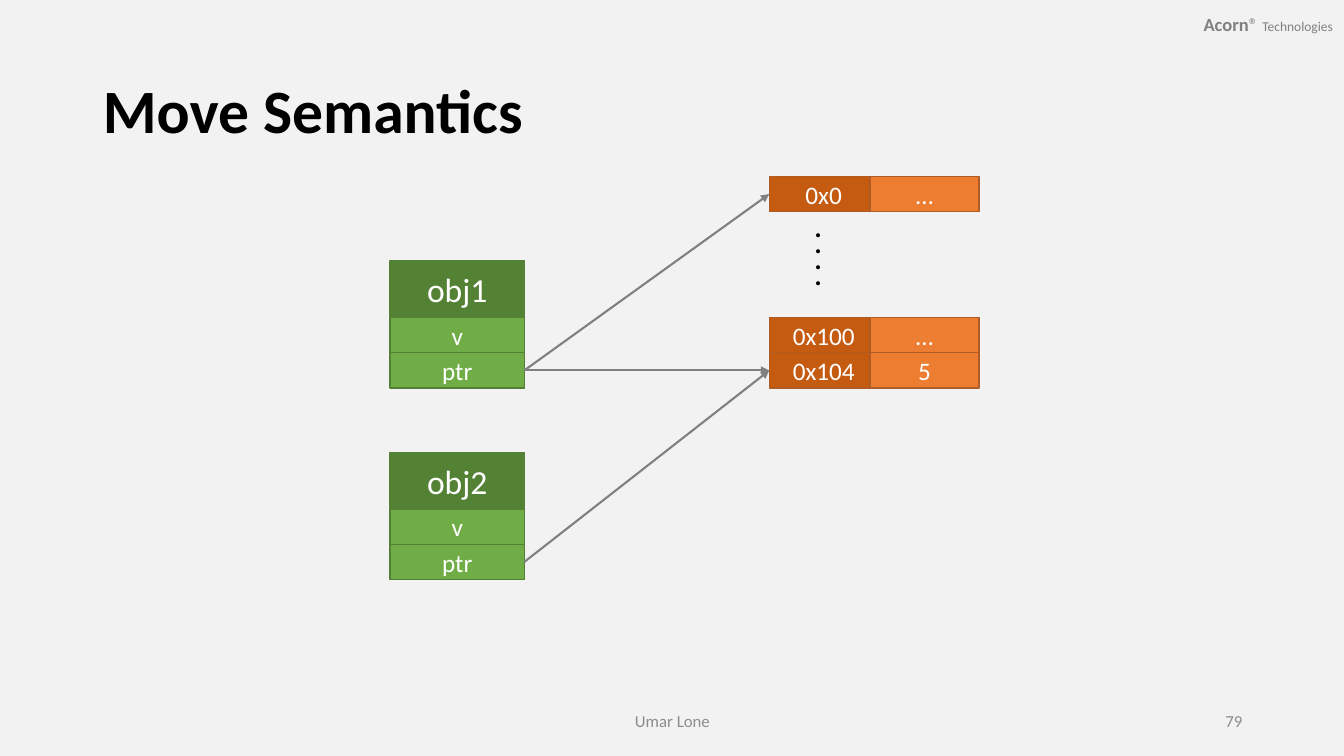
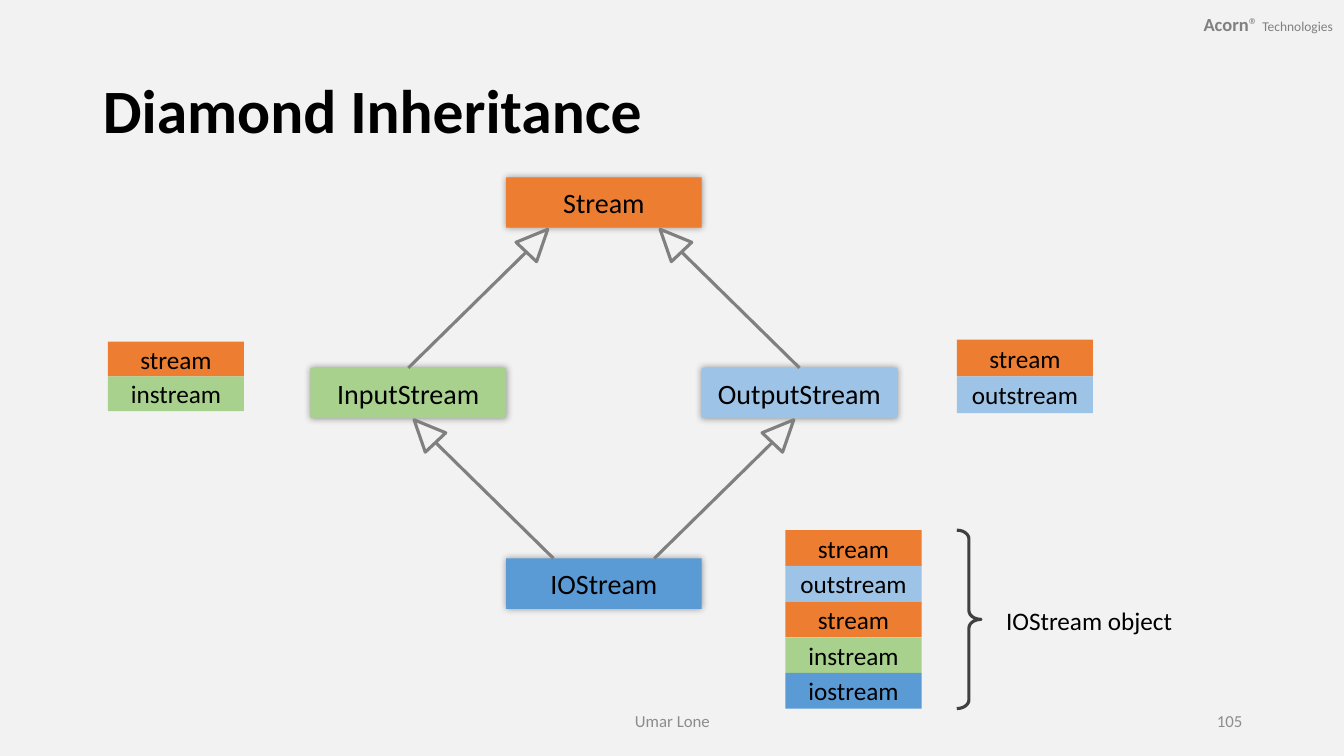
from math import cos, radians, sin

from pptx import Presentation
from pptx.dml.color import RGBColor
from pptx.enum import shapes, text
from pptx.oxml import parse_xml
from pptx.oxml.ns import nsdecls, qn
from pptx.util import Inches, Pt

FONT = "Calibri"
PAPER = RGBColor(0xF2, 0xF2, 0xF2)
BLACK = RGBColor(0, 0, 0)
WHITE = RGBColor(0xFF, 0xFF, 0xFF)
GRAY = RGBColor(0x80, 0x80, 0x80)
FOOTER_GRAY = RGBColor(0x8C, 0x8C, 0x8C)
CHARCOAL = RGBColor(0x40, 0x40, 0x40)
GREEN = RGBColor(0x70, 0xAD, 0x47)
DARK_GREEN = RGBColor(0x54, 0x82, 0x35)
GREEN_EDGE = RGBColor(0x53, 0x80, 0x35)
LIGHT_GREEN = RGBColor(0xA9, 0xD1, 0x8E)
ORANGE = RGBColor(0xED, 0x7D, 0x31)
DARK_ORANGE = RGBColor(0xC5, 0x5A, 0x11)
ORANGE_EDGE = RGBColor(0xAF, 0x5C, 0x24)
BLUE = RGBColor(0x5B, 0x9B, 0xD5)
LIGHT_BLUE = RGBColor(0x9D, 0xC3, 0xE6)

LEFT, CENTER, RIGHT = (text.PP_ALIGN.LEFT, text.PP_ALIGN.CENTER,
                       text.PP_ALIGN.RIGHT)
MIDDLE, TOP = text.MSO_ANCHOR.MIDDLE, text.MSO_ANCHOR.TOP
ROW_HEIGHT = 0.35
CLASS_WIDTH, CLASS_HEIGHT = 1.94, 0.5
HEAD_WIDTH, HEAD_HEIGHT, HEAD_ANGLE = 0.28, 0.31, 43.4
PART_COLORS = {"stream": ORANGE, "instream": LIGHT_GREEN,
               "outstream": LIGHT_BLUE, "iostream": BLUE}


def inches(*lengths):
    """Convert several lengths to Inches."""
    return [Inches(length) for length in lengths]


def soft_shadow():
    """Return an outer shadow element without offset."""
    return parse_xml(
        f'<a:outerShdw {nsdecls("a")} blurRad="{Pt(5)}" algn="ctr" '
        'rotWithShape="0"><a:srgbClr val="000000"><a:alpha val="40000"/>'
        '</a:srgbClr></a:outerShdw>')


def add_span(para, words, size, color, bold=False):
    """Add one formatted run to a paragraph."""
    span = para.add_run()
    span.text = words
    span.font.size = Pt(size)
    span.font.bold = bold
    span.font.color.rgb = color
    span.font.name = FONT
    return span


def add_label(page, box, words, size, color=BLACK, align=LEFT, anchor=MIDDLE):
    """Add a wrapped text box with a single run."""
    label = page.shapes.add_textbox(*inches(*box))
    frame = label.text_frame
    frame.word_wrap = True
    frame.vertical_anchor = anchor
    frame.paragraphs[0].alignment = align
    add_span(frame.paragraphs[0], words, size, color)
    return label


def add_outline(page, kind, box, edge, width):
    """Add an unfilled preset shape, with an edge if a colour is given."""
    shape = page.shapes.add_shape(kind, *inches(*box))
    shape.shadow.inherit = False
    shape.fill.background()
    if edge is None:
        shape.line.fill.background()
    else:
        shape.line.color.rgb = edge
        shape.line.width = Pt(width)
    return shape


def add_block(page, box, words, size, fill, color=BLACK, edge=None):
    """Add a filled rectangle with centred text."""
    block = add_outline(page, shapes.MSO_SHAPE.RECTANGLE, box, edge, 1)
    block.fill.solid()
    block.fill.fore_color.rgb = fill
    frame = block.text_frame
    frame.word_wrap = True
    frame.vertical_anchor = MIDDLE
    frame.paragraphs[0].alignment = CENTER
    add_span(frame.paragraphs[0], words, size, color)
    return block


def add_line(page, start, end, width, arrow=False):
    """Add a straight gray line, optionally with an arrowhead at its end."""
    line = page.shapes.add_connector(
        shapes.MSO_CONNECTOR.STRAIGHT, *inches(*start, *end))
    line.line.color.rgb = GRAY
    line.line.width = Pt(width)
    if arrow:
        line.line._get_or_add_ln().append(
            parse_xml(f'<a:tailEnd {nsdecls("a")} type="triangle"/>'))
    line._element.spPr.append(parse_xml(f'<a:effectLst {nsdecls("a")}/>'))


def add_brand(page, box):
    """Write the company name in the top corner."""
    label = page.shapes.add_textbox(*inches(*box))
    frame = label.text_frame
    frame.word_wrap = True
    frame.vertical_anchor = MIDDLE
    frame.margin_left = frame.margin_right = Inches(0.12)
    frame.margin_top = frame.margin_bottom = Inches(0.06)
    para = frame.paragraphs[0]
    para.alignment = RIGHT
    for words, size, bold in (("Acorn", 13.2, True), ("® ", 13.2, False),
                              ("Technologies", 9.6, False)):
        span = add_span(para, words, size, GRAY, bold)
        effects = parse_xml(f'<a:effectLst {nsdecls("a")}/>')
        effects.append(soft_shadow())
        span.font._element.find(qn("a:latin")).addprevious(effects)


def add_page(deck, heading, number):
    """Add a slide with title, brand and footer."""
    page = deck.slides.add_slide(deck.slide_layouts[5])
    title = page.shapes.title
    title.left, title.top, title.width, title.height = inches(
        0.92, 0.4, 11.5, 1.45)
    frame = title.text_frame
    frame.auto_size = text.MSO_AUTO_SIZE.NONE
    frame.vertical_anchor = MIDDLE
    para = frame.paragraphs[0]
    para.alignment = LEFT
    para.line_spacing = 0.9
    add_span(para, heading, 44, BLACK, True)
    add_brand(page, (11.41, 0.01, 1.93, 0.45))
    add_label(page, (4.42, 6.95, 4.5, 0.4), "Umar Lone", 12, FOOTER_GRAY, CENTER)
    add_label(page, (9.42, 6.95, 3, 0.4), str(number), 12, FOOTER_GRAY, RIGHT)
    return page


def add_object(page, left, top, name):
    """Draw an object with its members and return its pointer's port."""
    width, header = 1.33, 0.56
    add_block(page, (left, top, width, header), name, 24,
              DARK_GREEN, WHITE, GREEN_EDGE)
    for index, member in enumerate(("v", "ptr")):
        row_top = top + header + index * ROW_HEIGHT
        add_block(page, (left, row_top, width, ROW_HEIGHT), member, 18,
                  GREEN, WHITE, GREEN_EDGE)
    return left + width, row_top + ROW_HEIGHT / 2


def add_memory(page, left, top, cells):
    """Draw memory rows and return the port of the last row."""
    width, offset = 1.08, 1
    for index, (address, value) in enumerate(cells):
        row_top = top + index * ROW_HEIGHT
        for shift, words, fill in ((0, address, DARK_ORANGE),
                                   (offset, value, ORANGE)):
            add_block(page, (left + shift, row_top, width, ROW_HEIGHT),
                      words, 18, fill, WHITE, ORANGE_EDGE)
    return left, row_top + ROW_HEIGHT / 2


def add_class(page, left, top, name, fill):
    """Draw a class box with a soft shadow."""
    block = add_block(page, (left, top, CLASS_WIDTH, CLASS_HEIGHT),
                      name, 20, fill)
    block._element.spPr.find(qn("a:effectLst")).append(soft_shadow())


def add_inheritance(page, left, top, lean):
    """Draw a hollow-headed arrow rising to the right (1) or left (-1)."""
    base_x, base_y = left + lean * 1.17, top - 1.15
    angle = radians(HEAD_ANGLE)
    head_x = base_x + lean * sin(angle) * HEAD_HEIGHT / 2
    head_y = base_y - cos(angle) * HEAD_HEIGHT / 2
    head = add_outline(
        page, shapes.MSO_SHAPE.ISOSCELES_TRIANGLE,
        (head_x - HEAD_WIDTH / 2, head_y - HEAD_HEIGHT / 2,
         HEAD_WIDTH, HEAD_HEIGHT), GRAY, 2.25)
    head.rotation = lean * HEAD_ANGLE
    add_line(page, (left, top), (base_x, base_y), 2.25)


def add_stack(page, box, parts):
    """Fill a box with equally high object parts."""
    left, top, width, height = box
    pitch = height / len(parts)
    for index, part in enumerate(parts):
        add_block(page, (left, top + index * pitch, width, pitch),
                  part, 18, PART_COLORS[part])


def build_move_semantics(deck):
    """Build the slide about moving a pointer between objects."""
    page = add_page(deck, "Move Semantics", 79)
    first = add_object(page, 3.87, 2.59, "obj1")
    second = add_object(page, 3.87, 4.49, "obj2")
    value = add_memory(page, 7.63, 3.15, [("0x100", "…"), ("0x104", "5")])
    null = add_memory(page, 7.63, 1.75, [("0x0", "…")])
    for start, end in ((first, value), (second, value), (first, null)):
        add_line(page, start, end, 1.5, arrow=True)
    dots = add_label(page, (7.79, 2.33, 0.88, 0.5), ". . . .", 24,
                     align=CENTER, anchor=TOP)
    dots.rotation = 90


def build_diamond(deck):
    """Build the slide about a class with two related bases."""
    page = add_page(deck, "Diamond Inheritance", 105)
    left, top, rise = 5.02, 1.76, 1.89
    middle = left + CLASS_WIDTH / 2
    for column, row, name, fill in (
            (0, 0, "Stream", ORANGE), (-1, 1, "InputStream", LIGHT_GREEN),
            (1, 1, "OutputStream", LIGHT_BLUE), (0, 2, "IOStream", BLUE)):
        add_class(page, left + column * CLASS_WIDTH, top + row * rise, name, fill)
    for side in (-1, 1):
        add_inheritance(page, middle + side * CLASS_WIDTH, top + rise, -side)
        add_inheritance(page, middle + side * 0.5, top + 2 * rise, side)
    add_stack(page, (1.07, 3.39, 1.35, 0.69), ["stream", "instream"])
    add_stack(page, (9.49, 3.37, 1.35, 0.73), ["stream", "outstream"])
    add_stack(page, (7.79, 5.26, 1.35, 1.77),
              ["stream", "outstream", "stream", "instream", "iostream"])
    brace = add_outline(page, shapes.MSO_SHAPE.RIGHT_BRACE,
                        (9.49, 5.26, 0.24, 1.77), CHARCOAL, 2.25)
    brace.adjustments[0] = 0.36
    brace.adjustments[1] = 0.5
    add_label(page, (9.88, 5.96, 2.17, 0.4), "IOStream object", 18, anchor=TOP)


def main():
    """Build and save the deck."""
    deck = Presentation()
    deck.slide_width, deck.slide_height = inches(13.33, 7.5)
    background = deck.slide_master.background.fill
    background.solid()
    background.fore_color.rgb = PAPER
    build_move_semantics(deck)
    build_diamond(deck)
    deck.save("out.pptx")


main()
